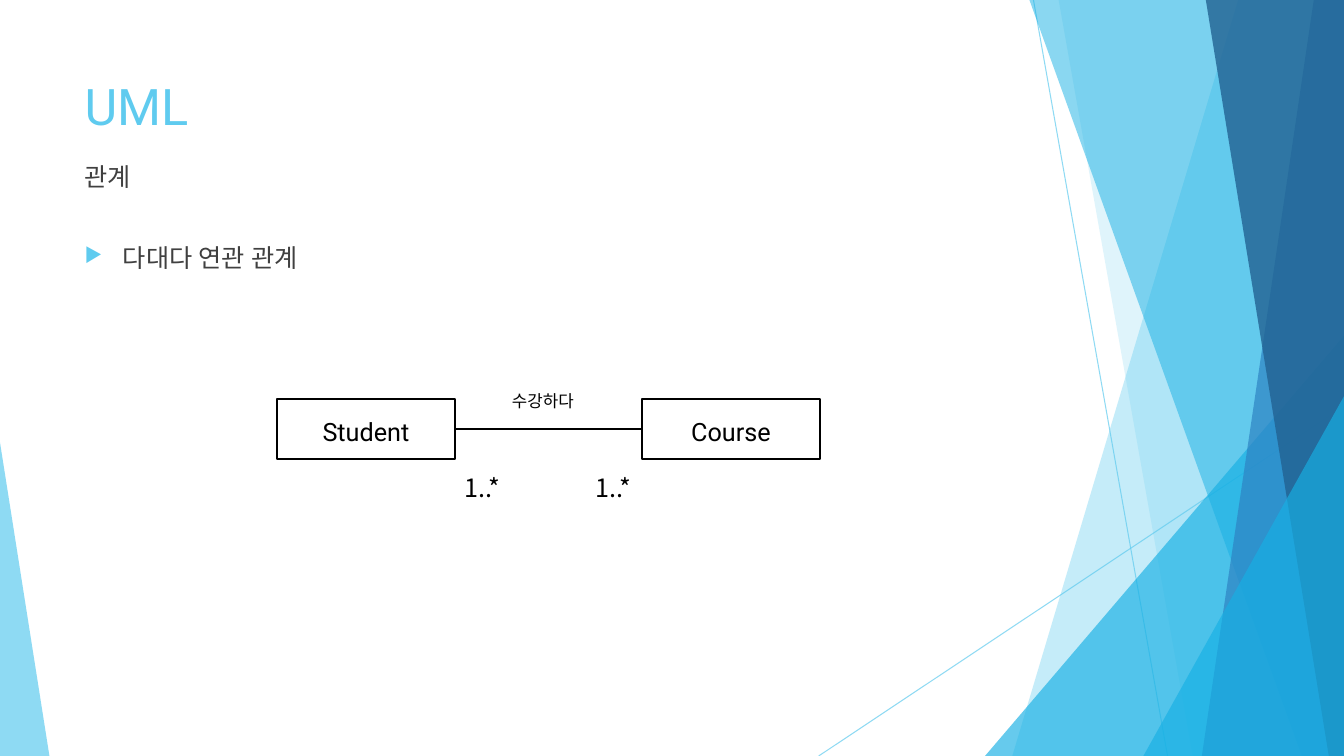
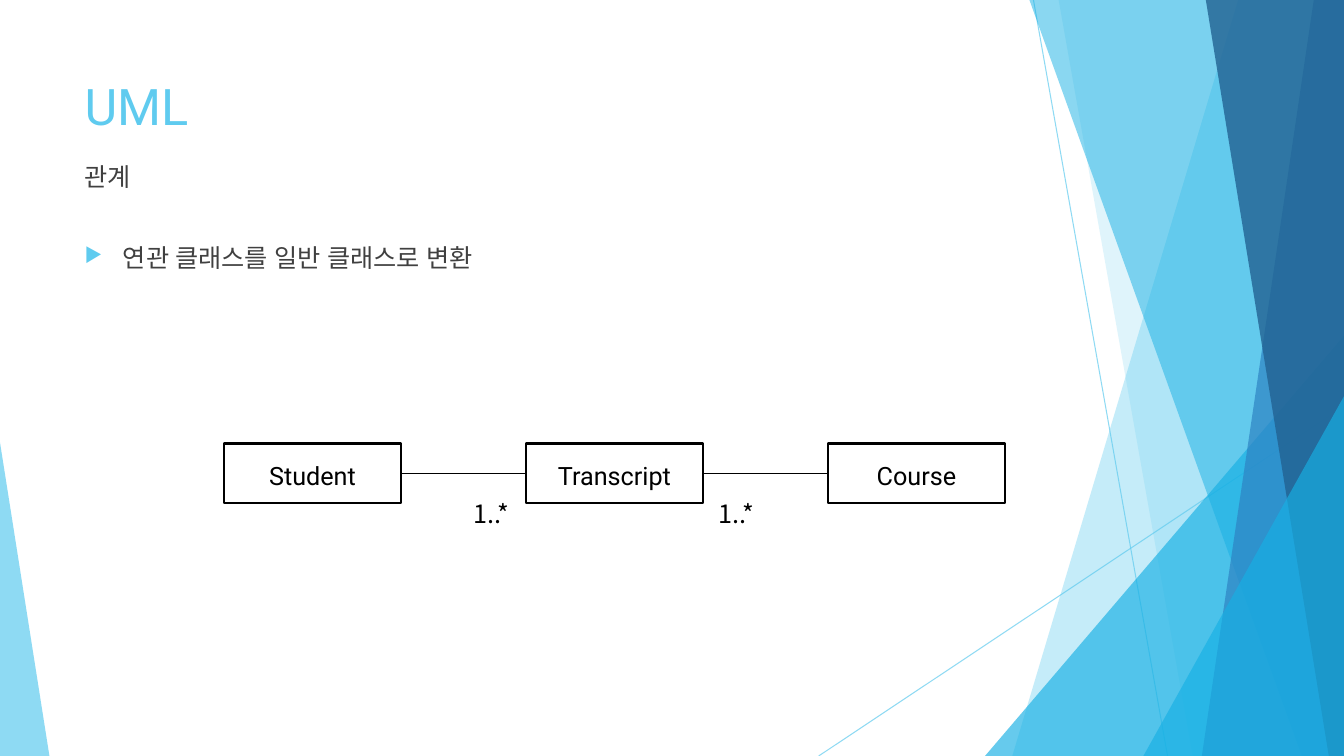
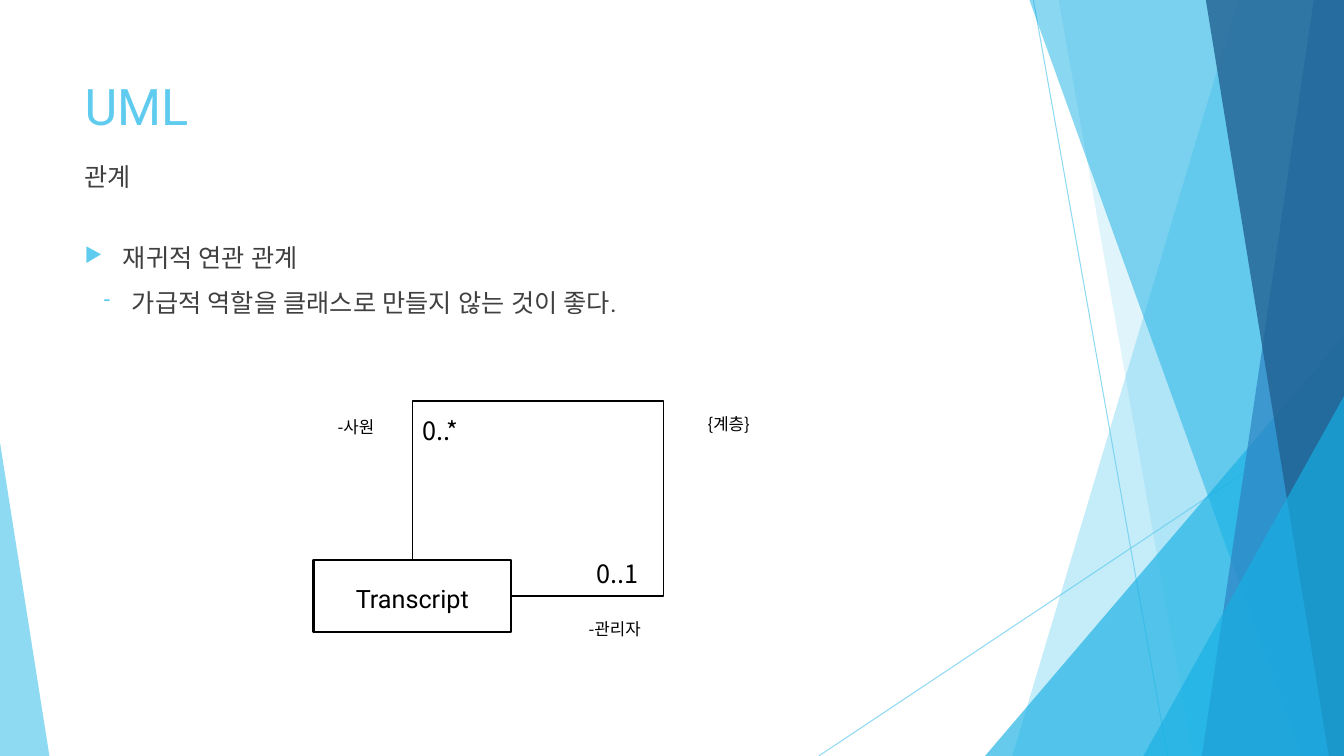
from collections import namedtuple
from lxml.etree import SubElement
from pptx import Presentation
from pptx.dml.color import RGBColor
from pptx.enum.shapes import MSO_CONNECTOR, MSO_SHAPE
from pptx.enum.text import MSO_ANCHOR, PP_ALIGN
from pptx.oxml.ns import qn
from pptx.util import Inches, Pt

SKY = RGBColor(0x5F, 0xCB, 0xEF)
CYAN = RGBColor(0x17, 0xB0, 0xE4)
BLUE = RGBColor(0x2E, 0x83, 0xC3)
NAVY = RGBColor(0x22, 0x62, 0x92)
GRAY = RGBColor(0x40, 0x40, 0x40)
BLACK = RGBColor(0, 0, 0)
WHITE = RGBColor(0xFF, 0xFF, 0xFF)
ROBOTO = "Roboto"
NOTO = "Noto Sans CJK KR"

Box = namedtuple("Box", "left top width height")
Bullet = namedtuple("Bullet", "text mark margin hanging")

PAGE = Box(0, 0, 13.33, 7.5)
CONTENT = Box(0.74, 0.67, 9.4, 2.6)

FACETS = [
    ("band", (12.28, 10.04), SKY, 36),
    ("band", (10.5, 11.83), SKY, 20),
    ("triangle", (9.77, 3.33, 3.56, 1), CYAN, 66),
    ("band", (10.21, 12.91), CYAN, 50),
    ("band", (13.03, 11.92), BLUE, 70),
    ("band", (11.96, 13.18), NAVY, 80),
    ("triangle", (11.34, 3.93, 1.99, 1), CYAN, 66),
    ("triangle", (0, 4.39, 0.49, 0), SKY, 70),
]


def set_alpha(fill, percent):
    color = fill._xPr.find(qn("a:solidFill"))[0]
    SubElement(color, qn("a:alpha")).set("val", str(percent * 1000))


def add_run(paragraph, text, size, font, color):
    run = paragraph.add_run()
    run.text = text
    run.font.size = Pt(size)
    run.font.name = font
    run.font.color.rgb = color
    SubElement(run._r.get_or_add_rPr(), qn("a:ea")).set("typeface", font)


def add_line(slide, start, end, color=BLACK, width=1, kind=MSO_CONNECTOR.STRAIGHT):
    points = [Inches(value) for value in (*start, *end)]
    connector = slide.shapes.add_connector(kind, *points)
    connector.line.color.rgb = color
    connector.line.width = Pt(width)
    SubElement(connector._element.spPr, qn("a:effectLst"))
    return connector


def add_loop(slide, start, end, right, top):
    connector = add_line(slide, start, end, kind=MSO_CONNECTOR.ELBOW)
    geometry = connector._element.spPr.find(qn("a:prstGeom"))
    geometry.set("prst", "bentConnector4")
    guides = geometry.find(qn("a:avLst"))
    ratios = (
        (right - start[0]) / (end[0] - start[0]),
        (top - start[1]) / (end[1] - start[1]),
    )
    for number, ratio in enumerate(ratios, 1):
        guide = SubElement(guides, qn("a:gd"))
        guide.set("name", f"adj{number}")
        guide.set("fmla", f"val {round(ratio * 100000)}")


def add_band(slide, box, top_x, bottom_x):
    right, bottom = box.left + box.width, box.top + box.height
    corners = [(top_x, box.top), (right, box.top), (right, bottom), (bottom_x, bottom)]
    start, *others = [(Inches(x), Inches(y)) for x, y in corners]
    builder = slide.shapes.build_freeform(*start)
    builder.add_line_segments(others, close=True)
    return builder.convert_to_shape()


def add_triangle(slide, box, left, top, width, apex):
    height = box.top + box.height - top
    shape = slide.shapes.add_shape(
        MSO_SHAPE.ISOSCELES_TRIANGLE,
        Inches(left), Inches(top), Inches(width), Inches(height),
    )
    shape.adjustments[0] = apex
    return shape


def add_facets(slide, box):
    right, bottom = box.left + box.width, box.top + box.height
    for start, end in [((10.25, box.top), (11.58, bottom)), ((right, 4.03), (8.12, bottom))]:
        line = add_line(slide, start, end, SKY, 0.75).line
        set_alpha(line.fill, 70)
    draw = {"band": add_band, "triangle": add_triangle}
    for kind, geometry, color, opacity in FACETS:
        shape = draw[kind](slide, box, *geometry)
        shape.shadow.inherit = False
        shape.fill.solid()
        shape.fill.fore_color.rgb = color
        set_alpha(shape.fill, opacity)
        shape.line.fill.background()


def add_text_frame(slide, box, anchor=MSO_ANCHOR.TOP):
    frame = slide.shapes.add_textbox(*[Inches(value) for value in box]).text_frame
    frame.word_wrap = True
    frame.vertical_anchor = anchor
    return frame


def add_bullet(paragraph, bullet):
    properties = paragraph._p.get_or_add_pPr()
    properties.set("marL", str(Inches(bullet.margin)))
    properties.set("indent", str(-Inches(bullet.hanging)))
    color = SubElement(SubElement(properties, qn("a:buClr")), qn("a:srgbClr"))
    color.set("val", str(SKY))
    SubElement(properties, qn("a:buSzPct")).set("val", "80000")
    SubElement(properties, qn("a:buChar")).set("char", bullet.mark)
    add_run(paragraph, bullet.text, 18, ROBOTO, GRAY)


def add_content(slide, box, bullets):
    title = add_text_frame(slide, box._replace(height=0.76), MSO_ANCHOR.MIDDLE)
    add_run(title.paragraphs[0], "UML", 36, ROBOTO, SKY)

    body = add_text_frame(slide, box._replace(top=box.top + 1.69, height=0.9))
    for index, bullet in enumerate(bullets):
        paragraph = body.add_paragraph() if index else body.paragraphs[0]
        paragraph.space_before = Pt(10)
        add_bullet(paragraph, bullet)

    subtitle = add_text_frame(slide, box._replace(top=box.top + 0.88, height=0.68))
    subtitle.paragraphs[0].space_before = Pt(10)
    add_run(subtitle.paragraphs[0], "관계", 18, ROBOTO, GRAY)


def add_rectangle(slide, box, line_color, line_width):
    shape = slide.shapes.add_shape(MSO_SHAPE.RECTANGLE, *[Inches(value) for value in box])
    shape.shadow.inherit = False
    shape.fill.solid()
    shape.fill.fore_color.rgb = WHITE
    shape.line.color.rgb = line_color
    shape.line.width = Pt(line_width)
    shape.text_frame.paragraphs[0].line_spacing = 1.15
    return shape.text_frame


def add_class(slide, box, name):
    frame = add_rectangle(slide, box, BLACK, 1.5)
    frame.vertical_anchor = MSO_ANCHOR.MIDDLE
    frame.paragraphs[0].alignment = PP_ALIGN.CENTER
    add_run(frame.paragraphs[0], name, 18, ROBOTO, BLACK)


def add_label(slide, box, text, size=18):
    frame = add_rectangle(slide, box, WHITE, 0.75)
    frame.vertical_anchor = MSO_ANCHOR.TOP
    paragraph = frame.paragraphs[0]
    paragraph.alignment = PP_ALIGN.JUSTIFY
    paragraph.space_after = Pt(10)
    add_run(paragraph, text, size, NOTO, BLACK)


def add_class_row(slide, box, names, class_width=1.76):
    step = (box.width - class_width) / (len(names) - 1)
    middle = box.top + box.height / 2
    for index, name in enumerate(names):
        left = box.left + index * step
        add_class(slide, box._replace(left=left, width=class_width), name)
        if index:
            add_line(slide, (left - step + class_width, middle), (left, middle))


def add_many_to_many(slide, box):
    add_class_row(slide, box, ["Student", "Course"])
    add_label(slide, Box(box.left + 2.23, box.top - 0.16, 0.97, 0.31), "수강하다", 12)
    for offset in (1.76, 3.06):
        add_label(slide, Box(box.left + offset, box.top + 0.63, 0.56, 0.35), "1..*")


def add_association_class(slide, box):
    for offset in (2.38, 4.81):
        add_label(slide, Box(box.left + offset, box.top + 0.45, 0.56, 0.35), "1..*")
    add_class_row(slide, box, ["Student", "Transcript", "Course"])


def add_recursion(slide, box):
    left, top = box.left, box.top
    class_box = Box(left, top + 1.58, 1.96, 0.71)
    labels = [
        (2.63, 2.08, 0.9, 0.42, "-관리자", 12),
        (0.14, 0.08, 0.84, 0.4, "-사원", 12),
        (2.71, 1.46, 0.82, 0.31, "0..1", 18),
        (0.98, 0.05, 0.72, 0.41, "0..*", 18),
        (3.81, 0.05, 0.86, 0.4, "{계층}", 12),
    ]
    for x, y, width, height, text, size in labels:
        add_label(slide, Box(left + x, top + y, width, height), text, size)
    add_class(slide, class_box, "Transcript")
    start = (left + class_box.width, class_box.top + class_box.height / 2)
    end = (left + class_box.width / 2, class_box.top)
    add_loop(slide, start, end, left + 3.47, top)


def topic(text):
    return Bullet(text, "▶", 0.38, 0.38)


def detail(text):
    return Bullet(text, "-", 0.47, 0.28)


SLIDES = [
    ([topic("다대다 연관 관계")], add_many_to_many, Box(2.75, 3.96, 5.38, 0.59)),
    (
        [topic("연관 클래스를 일반 클래스로 변환")],
        add_association_class,
        Box(2.22, 4.4, 7.75, 0.59),
    ),
    (
        [topic("재귀적 연관 관계"), detail("가급적 역할을 클래스로 만들지 않는 것이 좋다.")],
        add_recursion,
        Box(3.11, 3.98, 4.67, 2.5),
    ),
]

presentation = Presentation()
presentation.slide_width = Inches(PAGE.width)
presentation.slide_height = Inches(PAGE.height)
for bullets, add_diagram, diagram_box in SLIDES:
    slide = presentation.slides.add_slide(presentation.slide_layouts[6])
    add_facets(slide, PAGE)
    add_content(slide, CONTENT, bullets)
    add_diagram(slide, diagram_box)
presentation.save("out.pptx")
